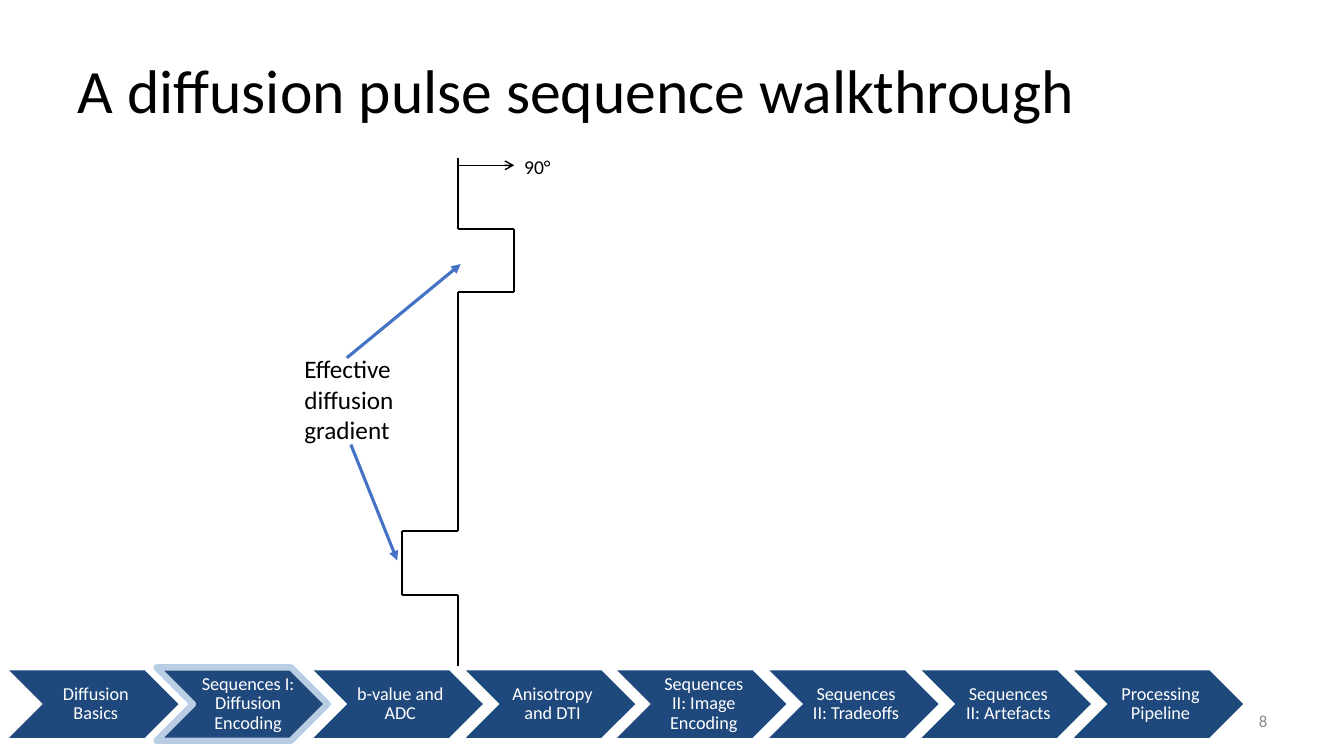
"""Build the diffusion pulse sequence walkthrough slide."""
from itertools import pairwise

from lxml import etree
from pptx import Presentation
from pptx.dml.color import RGBColor
from pptx.enum.shapes import MSO_CONNECTOR, MSO_SHAPE
from pptx.enum.text import MSO_ANCHOR, MSO_AUTO_SIZE, PP_ALIGN
from pptx.oxml.ns import qn
from pptx.util import Pt

PX = 9144
BLACK = RGBColor(0x00, 0x00, 0x00)
WHITE = RGBColor(0xFF, 0xFF, 0xFF)
GREY = RGBColor(0x8C, 0x8C, 0x8C)
BLUE = RGBColor(0x44, 0x72, 0xC4)
NAVY = RGBColor(0x1F, 0x49, 0x7D)
PALE = RGBColor(0xB9, 0xCD, 0xE5)
FONT = "Calibri"
LEFT, MID, RIGHT = PP_ALIGN.LEFT, PP_ALIGN.CENTER, PP_ALIGN.RIGHT
TOP, CENTRE = MSO_ANCHOR.TOP, MSO_ANCHOR.MIDDLE
CHEVRON = MSO_SHAPE.CHEVRON
STRAIGHT = MSO_CONNECTOR.STRAIGHT
FIXED = MSO_AUTO_SIZE.NONE


def write(shape, text, size=18, color=BLACK, align=LEFT, anchor=TOP,
          space=1.0, inset=(10, 5, 10, 5), wrap=True):
    """Put formatted text in a shape."""
    frame = shape.text_frame
    frame.auto_size = FIXED
    frame.word_wrap = wrap
    frame.vertical_anchor = anchor
    (frame.margin_left, frame.margin_top,
     frame.margin_right, frame.margin_bottom) = [n * PX for n in inset]
    para = frame.paragraphs[0]
    para.alignment = align
    para.line_spacing = space
    run = para.add_run()
    run.text = text
    run.font.name = FONT
    run.font.size = Pt(size)
    run.font.color.rgb = color


def draw(start, end, color=BLACK, width=1.5, head=None):
    """Draw a straight line, with an arrowhead if one is named."""
    ends = [n * PX for n in (*start, *end)]
    line = slide.shapes.add_connector(STRAIGHT, *ends)
    line.line.color.rgb = color
    line.line.width = Pt(width)
    if head:
        etree.SubElement(line.line._get_or_add_ln(), qn("a:tailEnd"), type=head)
    etree.SubElement(line._element.spPr, qn("a:effectLst"))


deck = Presentation()
deck.slide_width, deck.slide_height = 1333 * PX, 750 * PX
slide = deck.slides.add_slide(deck.slide_layouts[5])

title = slide.shapes.title
title.left, title.top, title.width, title.height = [
    n * PX for n in (67, 30, 1200, 125)]
write(title, "A diffusion pulse sequence walkthrough", size=44,
      anchor=CENTRE, space=0.9)

AXIS, HIGH, LOW = 454, 510, 399
pulse = [(AXIS, 157), (AXIS, 227), (HIGH, 227), (HIGH, 290), (AXIS, 290),
         (AXIS, 527), (LOW, 527), (LOW, 590), (AXIS, 590), (AXIS, 661)]
for start, end in pairwise(pulse):
    draw(start, end)

draw((AXIS, 164), (HIGH, 164), width=1, head="arrow")
draw((348, 441), (394, 556), color=BLUE, width=2.25, head="triangle")
draw((344, 355), (457, 262), color=BLUE, width=2.25, head="triangle")

labels = [
    ("90°", (510, 149, 47, 34), dict(size=14, wrap=False)),
    ("Effective diffusion gradient", (292, 346, 120, 101), {}),
    ("8", (956, 695, 311, 40),
     dict(size=12, color=GREY, align=RIGHT, anchor=CENTRE)),
]
for text, area, style in labels:
    box = slide.shapes.add_textbox(*[n * PX for n in area])
    write(box, text, **style)

steps = ["Diffusion Basics", "Sequences I: Diffusion Encoding",
         "b-value and ADC", "Anisotropy and DTI",
         "Sequences II: Image Encoding", "Sequences II: Tradeoffs",
         "Sequences II: Artefacts", "Processing Pipeline"]
FIRST, LAST = 9, 1065
for i, text in enumerate(steps):
    left = FIRST + round(i * (LAST - FIRST) / (len(steps) - 1))
    step = slide.shapes.add_shape(
        CHEVRON, left * PX, 665 * PX, 168 * PX, 67 * PX)
    step.shadow.inherit = False
    step.fill.solid()
    step.fill.fore_color.rgb = NAVY
    step.line.fill.background()
    write(step, text, size=13, color=WHITE, align=MID, anchor=CENTRE,
          space=0.9, inset=(6, 2, 2, 2))

ring = slide.shapes.add_shape(CHEVRON, 155 * PX, 662 * PX, 170 * PX, 73 * PX)
ring.shadow.inherit = False
ring.fill.background()
ring.line.color.rgb = PALE
ring.line.width = Pt(4.5)
etree.SubElement(ring.line._get_or_add_ln(), qn("a:round"))

deck.save("out.pptx")
